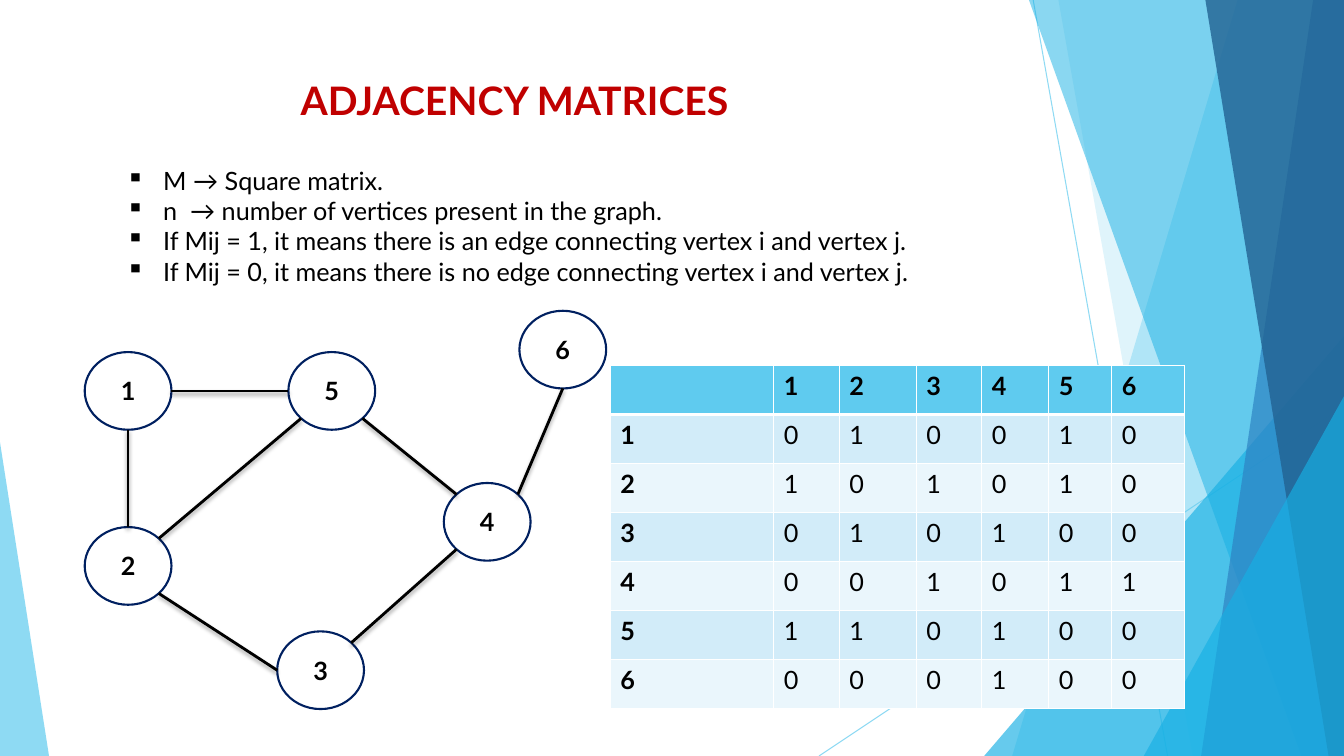
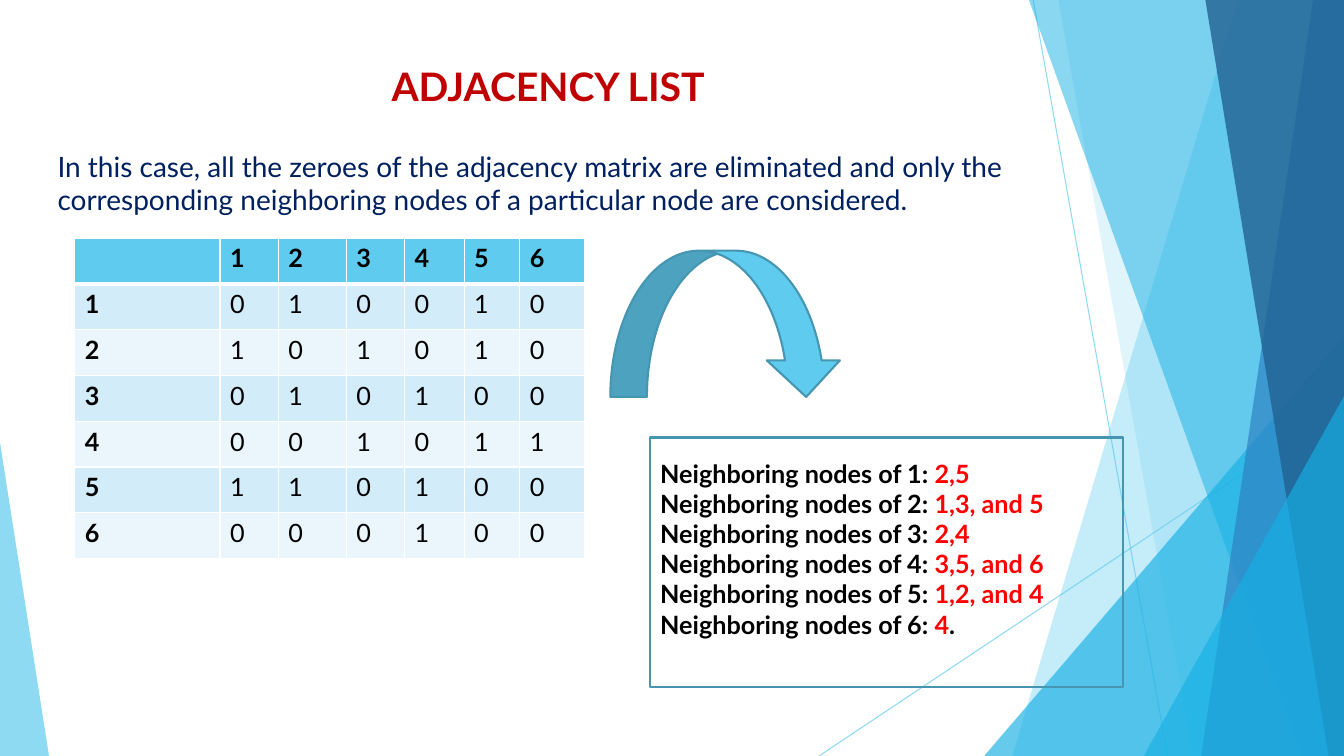
from math import cos, radians, sin

from lxml.etree import SubElement as Sub
from pptx import Presentation
from pptx.dml.color import RGBColor as RGB
from pptx.enum.shapes import MSO_CONNECTOR as Link, MSO_SHAPE as Kind
from pptx.enum.text import MSO_ANCHOR as Anchor, MSO_AUTO_SIZE as Auto, PP_ALIGN as Align
from pptx.oxml.ns import qn
from pptx.util import Pt

WIDE, HIGH = 960, 540
FONT = "Lato"
BLACK = RGB(0x00, 0x00, 0x00)
WHITE = RGB(0xFF, 0xFF, 0xFF)
CRIMSON = RGB(0xC0, 0x00, 0x00)
RED = RGB(0xFF, 0x00, 0x00)
NAVY = RGB(0x00, 0x20, 0x60)
SKY = RGB(0x5F, 0xCB, 0xEF)
AZURE = RGB(0x17, 0xB0, 0xE4)
BLUE = RGB(0x2E, 0x83, 0xC3)
DEEP = RGB(0x22, 0x62, 0x92)
TEAL = RGB(0x46, 0x96, 0xB1)
PALE = RGB(0xD2, 0xEC, 0xF9)
MIST = RGB(0xEA, 0xF6, 0xFC)

# Bands reach the right edge: top x, bottom x, colour, opacity
BACK = [(884, 723, SKY, 36), (756, 852, SKY, 20)]
FRONT = [(735, 929.5, AZURE, 50), (938, 858, BLUE, 70), (861, 949, DEEP, 80)]

# Graph: left and top of each node, and the sides that each edge joins
NODE_W, NODE_H = 62, 55.5
NODES = {1: (60.5, 251.5), 2: (60.5, 376.5), 3: (198, 451),
         4: (317, 345), 5: (206, 251.5), 6: (371, 222)}
EDGES = [(1, "s", 2, "n"), (2, "se", 3, "w"), (3, "ne", 4, "sw"), (2, "ne", 5, "sw"),
         (1, "e", 5, "w"), (5, "se", 4, "nw"), (4, "ne", 6, "s")]
SIDES = ["e", "se", "s", "sw", "w", "nw", "n", "ne"]
COLS = [117, 47, 55, 47, 48, 45, 52]


def near(node):
    """List the neighbours of a node."""
    return sorted([b for a, _, b, _ in EDGES if a == node]
                  + [a for a, _, b, _ in EDGES if b == node])


def rim(node, side):
    """Find the point of a node's outline on the given side."""
    x, y = NODES[node]
    turn = radians(45 * SIDES.index(side))
    return x + NODE_W / 2 * (1 + cos(turn)), y + NODE_H / 2 * (1 + sin(turn))


def fade(shape, share):
    """Set the opacity, in percent, of a shape's colours."""
    for tint in shape.element.spPr.iter(qn("a:srgbClr")):
        Sub(tint, qn("a:alpha"), val=str(share * 1000))


def write(frame, text, size=18, color=BLACK, bold=False, align=None, accent=None, mark=None):
    """Fill a frame, a paragraph per line; text between bars takes the accent."""
    for i, row in enumerate(text.split("\n")):
        para = frame.add_paragraph() if i else frame.paragraphs[0]
        para.alignment = align
        if mark:
            props = para._p.get_or_add_pPr()
            props.set("marL", str(Pt(26.5)))
            props.set("indent", str(-Pt(26.5)))
            Sub(props, qn("a:buChar"), char=mark)
        for j, part in enumerate(row.split("|")):
            if part:
                run = para.add_run()
                run.text = part
                font = run.font
                font.name, font.size, font.bold = FONT, Pt(size), bold
                font.color.rgb = accent if j % 2 else color


def edge(cell, widths):
    """Give a cell white borders; widths are left, right, top, bottom."""
    props = cell._tc.get_or_add_tcPr()
    for side, width in zip("LRTB", widths):
        line = Sub(props, qn("a:ln" + side), w=str(Pt(width)))
        Sub(Sub(line, qn("a:solidFill")), qn("a:srgbClr"), val=str(WHITE))


class Deck:
    def __init__(self):
        self.file = Presentation()
        self.file.slide_width, self.file.slide_height = Pt(WIDE), Pt(HIGH)

    def page(self, title, x, y, w):
        """Start a slide with the shared backdrop and title."""
        self.shapes = self.file.slides.add_slide(self.file.slide_layouts[6]).shapes
        for ends in [(738, 0, 834, HIGH), (WIDE, 290, 585, HIGH)]:
            fade(self.line(*ends, SKY, 0.75), 70)
        for band in BACK:
            self.band(*band)
        self.wedge(703, 240, 257, 1, AZURE, 66)
        for band in FRONT:
            self.band(*band)
        self.wedge(817, 283, 143, 1, AZURE, 66)
        self.wedge(0, 316, 35, 0, SKY, 70)
        self.text(title, x, y, w, 41, size=28, color=CRIMSON, bold=True, align=Align.CENTER)

    def paint(self, shape, fill=None, line=None):
        shape.shadow.inherit = False
        if fill is None:
            shape.fill.background()
        else:
            shape.fill.solid()
            shape.fill.fore_color.rgb = fill
        if line is None:
            shape.line.fill.background()
        else:
            shape.line.color.rgb = line
            shape.line.width = Pt(1.5)
        return shape

    def shape(self, kind, x, y, w, h, **style):
        return self.paint(self.shapes.add_shape(kind, Pt(x), Pt(y), Pt(w), Pt(h)), **style)

    def band(self, top, base, color, share):
        pen = self.shapes.build_freeform(Pt(top), 0)
        pen.add_line_segments([(Pt(WIDE), 0), (Pt(WIDE), Pt(HIGH)), (Pt(base), Pt(HIGH))])
        fade(self.paint(pen.convert_to_shape(), fill=color), share)

    def wedge(self, x, y, w, peak, color, share):
        """Draw a triangle that stands on the foot of the slide."""
        shape = self.shape(Kind.ISOSCELES_TRIANGLE, x, y, w, HIGH - y, fill=color)
        shape.adjustments[0] = peak
        fade(shape, share)

    def line(self, x1, y1, x2, y2, color, width, shade=False):
        link = self.shapes.add_connector(Link.STRAIGHT, Pt(x1), Pt(y1), Pt(x2), Pt(y2))
        link.line.color.rgb = color
        link.line.width = Pt(width)
        glow = Sub(link.element.spPr, qn("a:effectLst"))
        if shade:
            cast = Sub(glow, qn("a:outerShdw"), blurRad=str(Pt(3)), dist=str(Pt(2)),
                       dir="5400000", rotWithShape="0")
            tint = Sub(cast, qn("a:srgbClr"), val=str(BLACK))
            Sub(tint, qn("a:alpha"), val="35000")
        return link

    def text(self, text, x, y, w, h, **style):
        frame = self.shapes.add_textbox(Pt(x), Pt(y), Pt(w), Pt(h)).text_frame
        frame.word_wrap = True
        frame.auto_size = Auto.SHAPE_TO_FIT_TEXT
        write(frame, text, **style)

    def node(self, name):
        frame = self.shape(Kind.FLOWCHART_CONNECTOR, *NODES[name], NODE_W, NODE_H,
                           line=NAVY).text_frame
        frame.vertical_anchor = Anchor.MIDDLE
        write(frame, str(name), bold=True, align=Align.CENTER)

    def graph(self):
        for name in NODES:
            self.node(name)
        for a, out, b, into in EDGES:
            self.line(*rim(a, out), *rim(b, into), BLACK, 2, shade=True)

    def matrix(self, x, y, w, h):
        """Draw the adjacency matrix as a table."""
        rows = [["", *NODES]] + [[a, *(int(b in near(a)) for b in NODES)] for a in NODES]
        size = len(rows)
        grid = self.shapes.add_table(size, size, Pt(x), Pt(y), Pt(w), Pt(h)).table
        for col, width in zip(grid.columns, COLS):
            col.width = Pt(round(width * w / sum(COLS), 2))
        for r, row in enumerate(rows):
            grid.rows[r].height = Pt(h / size)
            for c, value in enumerate(row):
                cell = grid.cell(r, c)
                edge(cell, (1, 1, 3 if r == 1 else 1, 1 if r else 3))
                cell.fill.solid()
                cell.fill.fore_color.rgb = (PALE if r % 2 else MIST) if r else SKY
                write(cell.text_frame, str(value), bold=r == 0 or c == 0)


def phrase(node):
    """Spell out a node's neighbours."""
    names = [str(n) for n in near(node)]
    if len(names) > 2:
        names[-1] = " and " + names[-1]
    return f"Neighboring nodes of {node}: |{','.join(names)}|"


def main():
    deck = Deck()

    deck.page("ADJACENCY MATRICES", 83, 51, 569)
    deck.text("M → Square matrix.\n"
              "n  → number of vertices present in the graph.\n"
              "If Mij = 1, it means there is an edge connecting vertex i and vertex j.\n"
              "If Mij = 0, it means there is no edge connecting vertex i and vertex j.",
              83, 114.5, 621, 94, mark="▪")
    deck.graph()
    deck.matrix(436, 261, 410, 245)

    deck.page("ADJACENCY LIST", 151, 41, 481)
    deck.shape(Kind.RECTANGLE, 464.5, 312.5, 337.5, 178, line=TEAL)
    deck.text("In this case, all the zeroes of the adjacency matrix are eliminated and only the "
              "corresponding neighboring nodes of a particular node are considered.",
              34, 103, 713, 55.5, size=20, color=NAVY)
    deck.matrix(53.5, 170, 364, 229)
    deck.text("\n".join(phrase(n) for n in NODES) + ".", 464.5, 323.5, 352, 138,
              bold=True, accent=RED)
    deck.shape(Kind.CURVED_DOWN_ARROW, 436, 179, 166, 104.5, fill=SKY, line=TEAL)

    deck.file.save("out.pptx")


if __name__ == "__main__":
    main()
